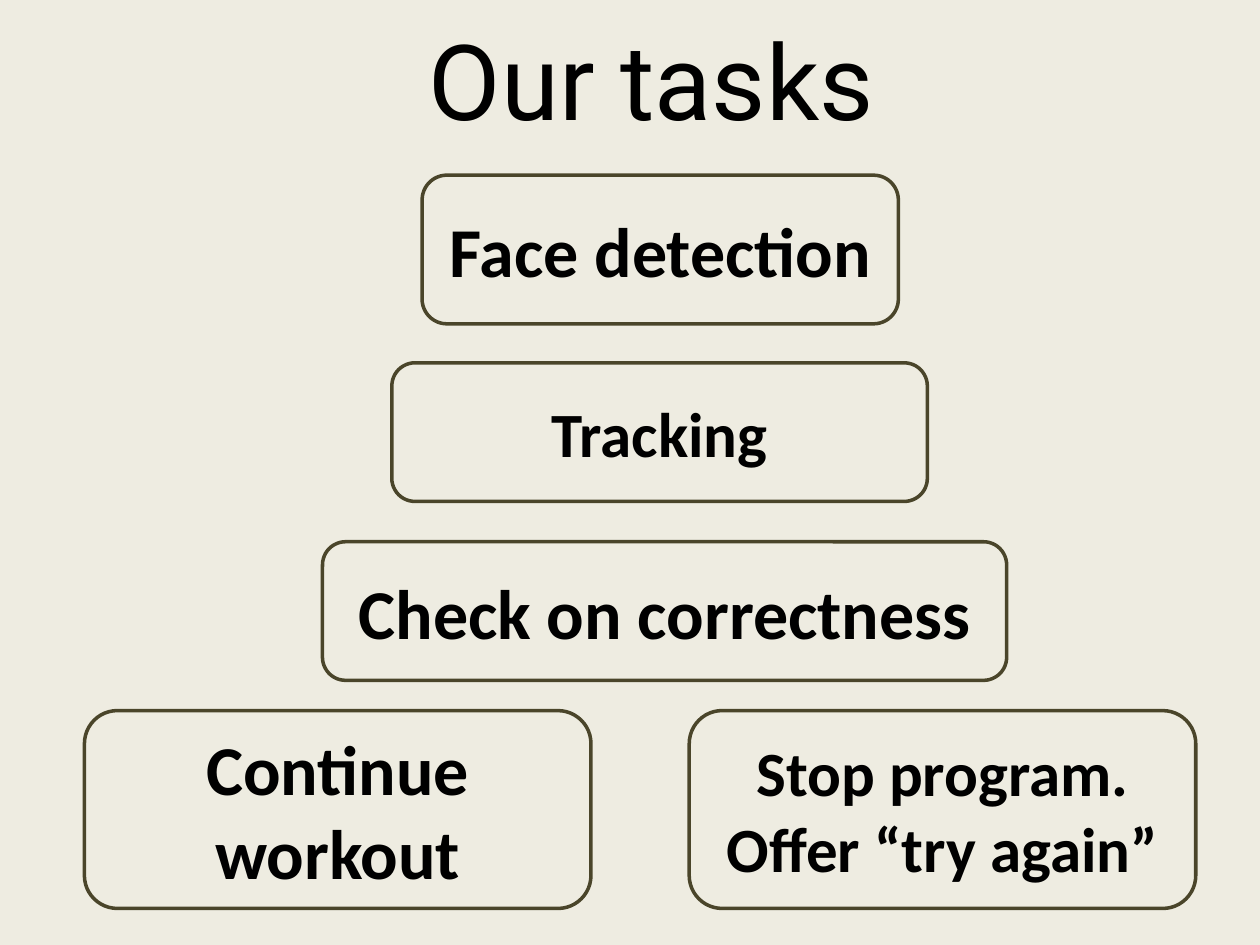
"""Build the "Our tasks" slide: a title above a pyramid of task boxes."""
import dataclasses

import pptx
import pptx.dml.color
import pptx.enum.shapes
import pptx.enum.text
import pptx.util


@dataclasses.dataclass(frozen=True)
class Theme:
    background: str = "EEECE1"
    outline: str = "4A452A"
    ink: str = "000000"
    title_font: str = "Roboto"
    body_font: str = "Calibri"
    title_size: int = 60
    large_size: int = 40
    medium_size: int = 36
    outline_width: int = 2


@dataclasses.dataclass(frozen=True)
class Area:
    column: float
    row: float
    columns: float
    rows: float


@dataclasses.dataclass(frozen=True)
class Task:
    lines: tuple[str, ...]
    area: Area
    size: int


THEME = Theme()
CELL = pptx.util.Inches(0.1)
GRID_COLUMNS, GRID_ROWS = 100, 75
OUTCOME_ROW, OUTCOME_COLUMNS, OUTCOME_ROWS = 56.4, 40.2, 15.7
TITLE_AREA = Area(6.7, 0, 90, 12.5)
TASKS = (
    Task(("Face detection",), Area(33.5, 13.9, 37.8, 11.8), THEME.large_size),
    Task(("Tracking",), Area(31.1, 28.8, 42.5, 11), THEME.medium_size),
    Task(("Check on correctness",), Area(25.6, 43, 54.3, 11), THEME.large_size),
    Task(("Continue workout",),
         Area(6.7, OUTCOME_ROW, OUTCOME_COLUMNS, OUTCOME_ROWS), THEME.large_size),
    Task(("Stop program.", "Offer “try again”"),
         Area(54.7, OUTCOME_ROW, OUTCOME_COLUMNS, OUTCOME_ROWS), THEME.medium_size),
)


def color(value: str) -> pptx.dml.color.RGBColor:
    return pptx.dml.color.RGBColor.from_string(value)


def cells(count: float) -> pptx.util.Emu:
    return pptx.util.Emu(round(count * CELL))


def place(shape, area: Area) -> None:
    shape.left, shape.top = cells(area.column), cells(area.row)
    shape.width, shape.height = cells(area.columns), cells(area.rows)


def write(shape, *lines: str, font: str, size: int, bold: bool) -> None:
    frame = shape.text_frame
    frame.word_wrap = True
    frame.auto_size = pptx.enum.text.MSO_AUTO_SIZE.NONE
    frame.vertical_anchor = pptx.enum.text.MSO_ANCHOR.MIDDLE
    for index, line in enumerate(lines):
        para = frame.add_paragraph() if index else frame.paragraphs[0]
        para.alignment = pptx.enum.text.PP_ALIGN.CENTER
        span = para.add_run()
        span.text = line
        span.font.name = font
        span.font.size = pptx.util.Pt(size)
        span.font.bold = bold
        span.font.color.rgb = color(THEME.ink)


def draw_task(page, task: Task) -> None:
    box = page.shapes.add_shape(
        pptx.enum.shapes.MSO_SHAPE.ROUNDED_RECTANGLE, 0, 0, CELL, CELL)
    place(box, task.area)
    box.shadow.inherit = False
    box.fill.background()
    box.line.color.rgb = color(THEME.outline)
    box.line.width = pptx.util.Pt(THEME.outline_width)
    write(box, *task.lines, font=THEME.body_font, size=task.size, bold=True)


def main() -> None:
    deck = pptx.Presentation()
    deck.slide_width, deck.slide_height = cells(GRID_COLUMNS), cells(GRID_ROWS)
    page = deck.slides.add_slide(deck.slide_layouts.get_by_name("Title Only"))
    page.background.fill.solid()
    page.background.fill.fore_color.rgb = color(THEME.background)
    title = page.shapes.title
    place(title, TITLE_AREA)
    write(title, "Our tasks", font=THEME.title_font, size=THEME.title_size, bold=False)
    for task in TASKS:
        draw_task(page, task)
    deck.save("out.pptx")


if __name__ == "__main__":
    main()
